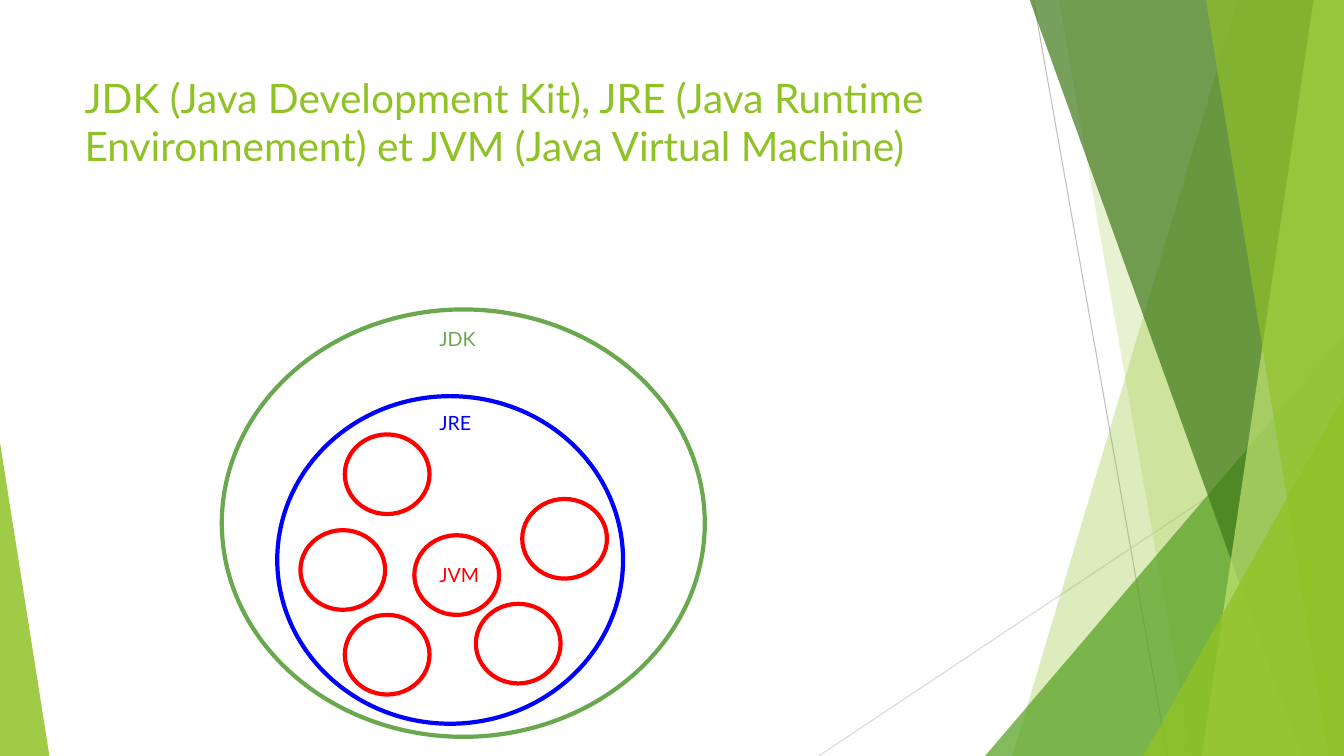
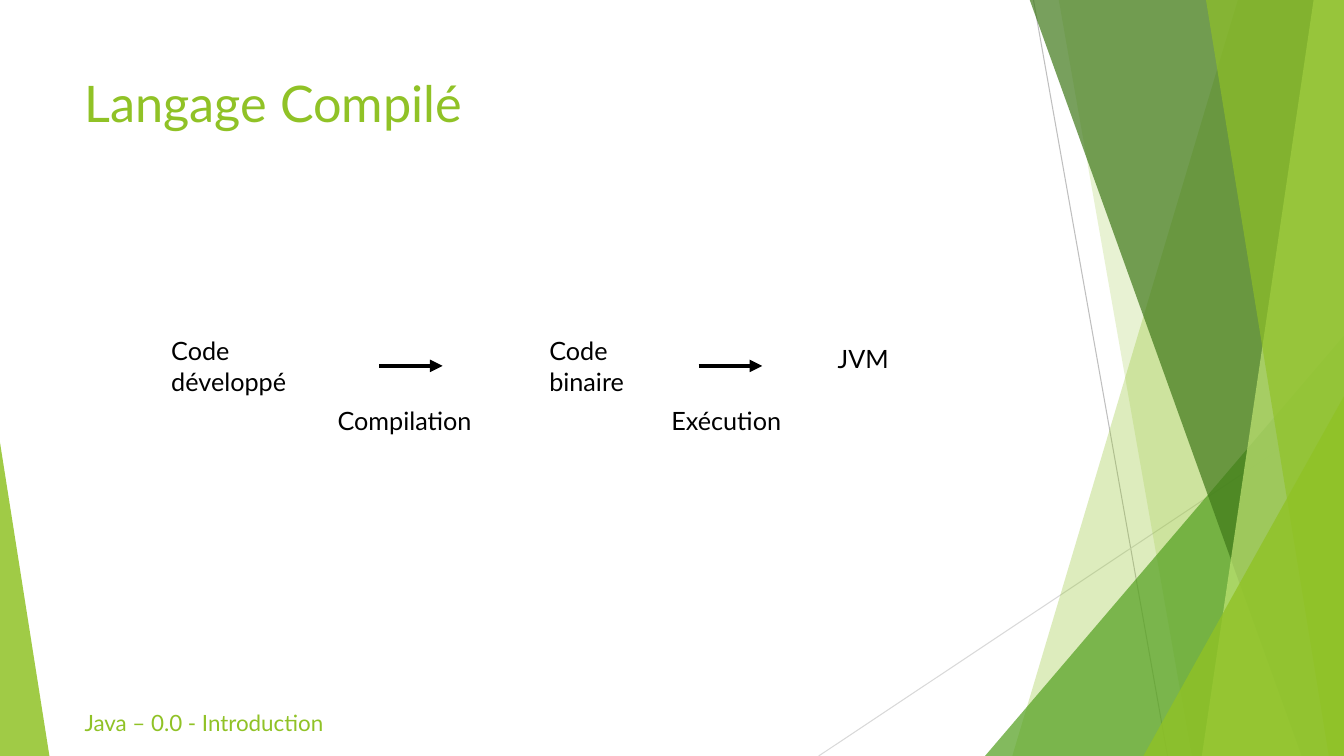
from lxml import etree
from pptx import Presentation
from pptx.dml.color import RGBColor
from pptx.enum.shapes import MSO_CONNECTOR, MSO_SHAPE
from pptx.oxml.ns import qn
from pptx.util import Inches, Pt

STRAIGHT = MSO_CONNECTOR.STRAIGHT
OVAL = MSO_SHAPE.OVAL

LIME = RGBColor(0x90, 0xC2, 0x26)
PALE_LIME = RGBColor(0xC0, 0xE4, 0x74)
GREEN = RGBColor(0x54, 0xA0, 0x21)
DARK_GREEN = RGBColor(0x3F, 0x78, 0x19)
GRAY = RGBColor(0xBF, 0xBF, 0xBF)
LIGHT_GRAY = RGBColor(0xD9, 0xD9, 0xD9)
BLACK = RGBColor(0, 0, 0)
JDK_GREEN = RGBColor(0x6A, 0xA8, 0x4F)
JRE_BLUE = RGBColor(0, 0, 0xFF)
JVM_RED = RGBColor(0xFF, 0, 0)

FONT = "Lato"
WIDTH, HEIGHT = 13.33, 7.5
TOP = -0.01
RIGHT_EDGE = [(WIDTH, TOP), (WIDTH, HEIGHT)]
BANDS = [
    ([(12.28, TOP), *RIGHT_EDGE, (10.04, HEIGHT)], LIME, 30),
    ([(10.5, TOP), *RIGHT_EDGE, (11.82, HEIGHT)], LIME, 20),
    ([(9.77, HEIGHT), (WIDTH, 3.33), (WIDTH, HEIGHT)], GREEN, 72),
    ([(10.21, TOP), *RIGHT_EDGE, (12.91, HEIGHT)], DARK_GREEN, 70),
    ([(13.03, TOP), *RIGHT_EDGE, (11.92, HEIGHT)], PALE_LIME, 70),
    ([(11.96, TOP), *RIGHT_EDGE, (13.18, HEIGHT)], LIME, 65),
    ([(11.34, HEIGHT), (WIDTH, 3.93), (WIDTH, HEIGHT)], LIME, 80),
    ([(0, HEIGHT), (0, 4.39), (0.49, HEIGHT)], LIME, 85),
]


def add_line(s, start, end, color, width, arrow=False):
    """Draw a straight line, with an arrowhead at its end if asked."""
    points = [Inches(v) for v in (*start, *end)]
    c = s.shapes.add_connector(STRAIGHT, *points)
    c.line.width = Pt(width)
    c.line.color.rgb = color
    if arrow:
        etree.SubElement(c.line._get_or_add_ln(), qn("a:tailEnd"), type="triangle")
    etree.SubElement(c._element.spPr, qn("a:effectLst"))


def add_band(s, points, color, opacity):
    """Draw a translucent polygon."""
    start, *rest = [(Inches(x), Inches(y)) for x, y in points]
    builder = s.shapes.build_freeform(*start)
    builder.add_line_segments(rest, close=True)
    sp = builder.convert_to_shape()
    sp.shadow.inherit = False
    sp.fill.solid()
    sp.fill.fore_color.rgb = color
    sp.line.fill.background()
    rgb = sp._element.spPr.find(qn("a:solidFill")).find(qn("a:srgbClr"))
    etree.SubElement(rgb, qn("a:alpha"), val=str(opacity * 1000))


def add_text(s, text, box, size, color, inset=None):
    """Write one paragraph per line of text in a wrapping box."""
    tf = s.shapes.add_textbox(*[Inches(v) for v in box]).text_frame
    tf.word_wrap = True
    if inset is not None:
        for side in ("left", "top", "right", "bottom"):
            setattr(tf, f"margin_{side}", Inches(inset))
    style = {"name": FONT, "size": Pt(size)}
    for i, line in enumerate(text.split("\n")):
        p = tf.paragraphs[0] if i == 0 else tf.add_paragraph()
        r = p.add_run()
        r.text = line
        for name, value in style.items():
            setattr(r.font, name, value)
        r.font.color.rgb = color


def add_ring(s, box, color):
    """Draw an unfilled ellipse."""
    sp = s.shapes.add_shape(OVAL, *[Inches(v) for v in box])
    sp.shadow.inherit = False
    sp.fill.background()
    sp.line.color.rgb = color
    sp.line.width = Pt(3)


def add_slide(prs, title, title_size):
    """Add a slide with the shared decoration and a title."""
    s = prs.slides.add_slide(prs.slide_layouts[6])
    add_line(s, (10.25, 0), (11.58, HEIGHT), GRAY, 0.74)
    add_line(s, (WIDTH, 4.03), (8.12, HEIGHT), LIGHT_GRAY, 0.74)
    for points, color, opacity in BANDS:
        add_band(s, points, color, opacity)
    add_text(s, title, (0.74, 0.67, 9.4, 1.44), title_size, LIME)
    return s


def build_environments(prs):
    """Show the JVMs nested in the JRE and the JDK."""
    s = add_slide(prs, "JDK (Java Development Kit), JRE (Java Runtime "
                  "Environnement) et JVM (Java Virtual Machine)", 29)
    add_ring(s, (2.75, 3.93, 3.43, 3.25), JRE_BLUE)
    add_ring(s, (2.2, 3.07, 4.79, 4.24), JDK_GREEN)
    for label, y, color in [("JRE", 3.98, JRE_BLUE), ("JDK", 3.14, JDK_GREEN),
                            ("JVM", 5.48, JVM_RED)]:
        add_text(s, label, (4.26, y, 0.8, 0.52), 14, color, inset=0.1)
    for x, y in [(4.11, 5.31), (4.72, 5.99), (3.42, 6.1),
                 (2.98, 5.26), (5.18, 4.95), (3.42, 4.31)]:
        add_ring(s, (x, y, 0.84, 0.79), JVM_RED)


def build_compilation(prs):
    """Show the steps from source code to the JVM."""
    s = add_slide(prs, "Langage Compilé", 36)
    for text, box in [("Code \ndéveloppé", (1.6, 3.28, 1.65, 0.71)),
                      ("Code \nbinaire", (5.35, 3.28, 1.37, 0.71)),
                      ("Compilation", (3.25, 3.97, 1.65, 0.4)),
                      ("Exécution", (6.56, 3.97, 1.65, 0.4)),
                      ("JVM", (8.21, 3.36, 1.37, 0.4))]:
        add_text(s, text, box, 18, BLACK)
    for x in (3.76, 6.93):
        add_line(s, (x, 3.63), (x + 0.63, 3.63), BLACK, 3, arrow=True)
    add_text(s, "Java – 0.0 - Introduction", (0.74, 6.99, 6.55, 0.4), 16, LIME)


def main():
    """Build and save the presentation."""
    prs = Presentation()
    prs.slide_width, prs.slide_height = Inches(WIDTH), Inches(HEIGHT)
    build_environments(prs)
    build_compilation(prs)
    prs.save("out.pptx")


main()
